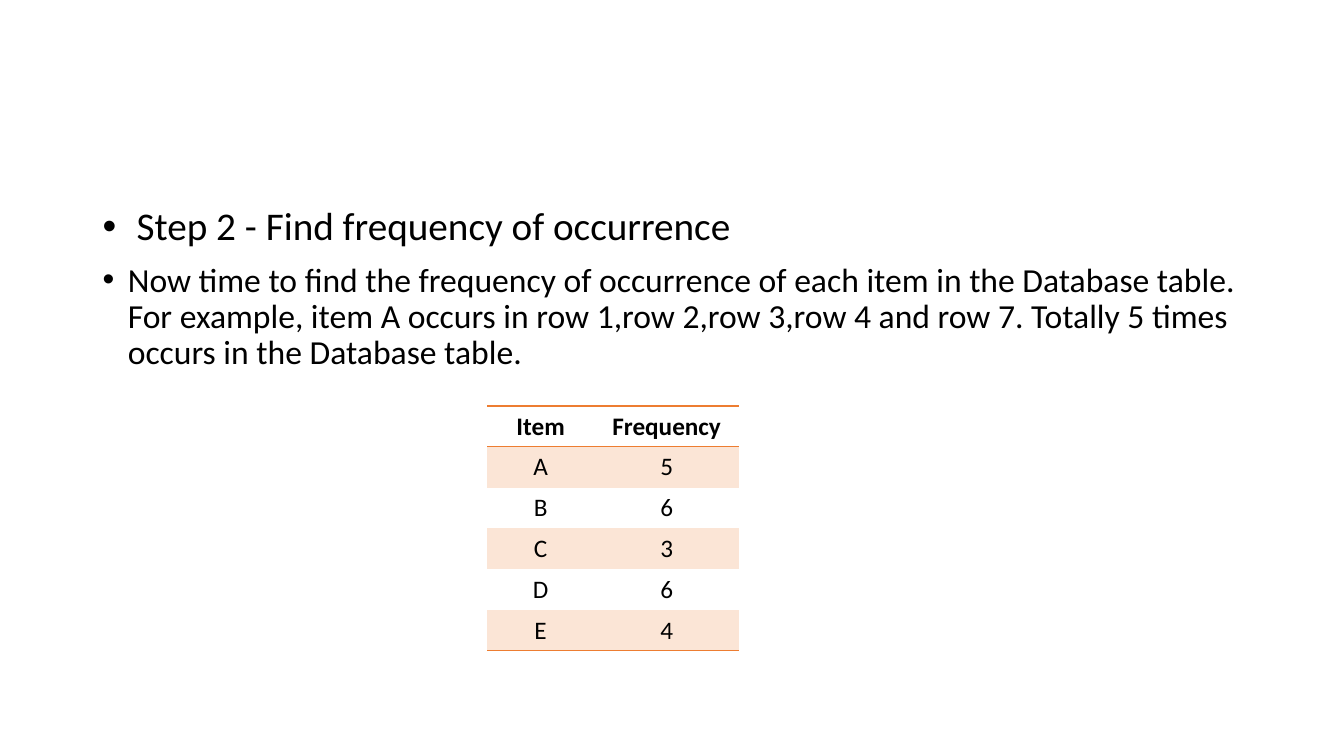
from dataclasses import dataclass

from lxml.etree import SubElement
from pptx import Presentation
from pptx.dml.color import RGBColor
from pptx.enum.text import MSO_ANCHOR, PP_ALIGN
from pptx.oxml import parse_xml
from pptx.oxml.ns import nsdecls, qn
from pptx.slide import Slide
from pptx.table import _Cell
from pptx.text.text import Font, _Paragraph
from pptx.util import Inches, Pt

BLACK = RGBColor(0x00, 0x00, 0x00)
ORANGE = RGBColor(0xED, 0x7D, 0x31)
PEACH = RGBColor(0xFB, 0xE5, 0xD6)

SLIDE_WIDTH = Inches(13.33)
SLIDE_HEIGHT = Inches(7.5)
TYPEFACE = "Calibri"
PLAIN_TABLE_STYLE = "{2D5ABB26-0587-4C30-8999-92F81FD0307C}"
BULLET_INDENT = Inches(0.25)
ITEM_WIDTH = Inches(1.06)
FREQUENCY_WIDTH = Inches(1.44)
ROW_HEIGHT = Inches(0.405)


@dataclass(frozen=True)
class Point:
    text: str
    size: int


@dataclass(frozen=True)
class ItemCount:
    item: str
    frequency: str


POINTS = [
    Point(" Step 2 - Find frequency of occurrence", 28),
    Point(
        "Now time to find the frequency of occurrence of each item in the "
        "Database table. For example, item A occurs in row 1,row 2,row 3,row 4 "
        "and row 7. Totally 5 times occurs in the Database table.",
        24,
    ),
]

COUNTS = [
    ItemCount("Item", "Frequency"),
    ItemCount("A", "5"),
    ItemCount("B", "6"),
    ItemCount("C", "3"),
    ItemCount("D", "6"),
    ItemCount("E", "4"),
]


def style_font(font: Font, size: int, bold: bool = False) -> None:
    font.name = TYPEFACE
    font.size = Pt(size)
    font.bold = bold
    font.color.rgb = BLACK


def write_point(paragraph: _Paragraph, point: Point) -> None:
    paragraph.text = point.text
    paragraph.line_spacing = 0.9
    paragraph.space_before = Pt(10)
    style_font(paragraph.font, point.size)
    properties = paragraph._p.get_or_add_pPr()
    properties.set("marL", str(BULLET_INDENT))
    properties.set("indent", str(-BULLET_INDENT))
    bullet_font = parse_xml(f'<a:buFont {nsdecls("a")} typeface="Arial"/>')
    bullet = parse_xml(f'<a:buChar {nsdecls("a")} char="•"/>')
    properties.find(qn("a:defRPr")).addprevious(bullet_font)
    bullet_font.addnext(bullet)


def add_points(slide: Slide) -> None:
    body = slide.shapes.add_textbox(
        round(SLIDE_WIDTH * 0.069), round(SLIDE_HEIGHT * 0.267),
        round(SLIDE_WIDTH * 0.863), round(SLIDE_HEIGHT * 0.635),
    ).text_frame
    body.word_wrap = True
    for number, point in enumerate(POINTS):
        paragraph = body.add_paragraph() if number else body.paragraphs[0]
        write_point(paragraph, point)


def rule_cell(cell: _Cell, edges: list[str]) -> None:
    properties = cell._tc.get_or_add_tcPr()
    for edge in edges:
        line = SubElement(properties, qn(f"a:{edge}"), w=str(Pt(1)))
        fill = SubElement(line, qn("a:solidFill"))
        SubElement(fill, qn("a:srgbClr"), val=str(ORANGE))


def write_cell(cell: _Cell, text: str, row: int) -> None:
    header = row == 0
    edges = ["lnT", "lnB"] if header else ["lnB"] if row == len(COUNTS) - 1 else []
    rule_cell(cell, edges)
    if row % 2:
        cell.fill.solid()
        cell.fill.fore_color.rgb = PEACH
    else:
        cell.fill.background()
    cell.vertical_anchor = MSO_ANCHOR.MIDDLE
    paragraph = cell.text_frame.paragraphs[0]
    paragraph.text = text
    paragraph.alignment = PP_ALIGN.CENTER
    style_font(paragraph.font, 18, bold=header)


def add_frequencies(slide: Slide) -> None:
    table = slide.shapes.add_table(
        len(COUNTS), 2,
        round(SLIDE_WIDTH * 0.3625), round(SLIDE_HEIGHT * 0.537),
        ITEM_WIDTH + FREQUENCY_WIDTH, ROW_HEIGHT * len(COUNTS),
    ).table
    table._tbl.tblPr.find(qn("a:tableStyleId")).text = PLAIN_TABLE_STYLE
    for column, width in zip(table.columns, (ITEM_WIDTH, FREQUENCY_WIDTH)):
        column.width = width
    for row, count in enumerate(COUNTS):
        table.rows[row].height = ROW_HEIGHT
        for column, text in enumerate((count.item, count.frequency)):
            write_cell(table.cell(row, column), text, row)


def main() -> None:
    deck = Presentation()
    deck.slide_width = SLIDE_WIDTH
    deck.slide_height = SLIDE_HEIGHT
    slide = deck.slides.add_slide(deck.slide_layouts[6])
    add_points(slide)
    add_frequencies(slide)
    deck.save("out.pptx")


if __name__ == "__main__":
    main()
